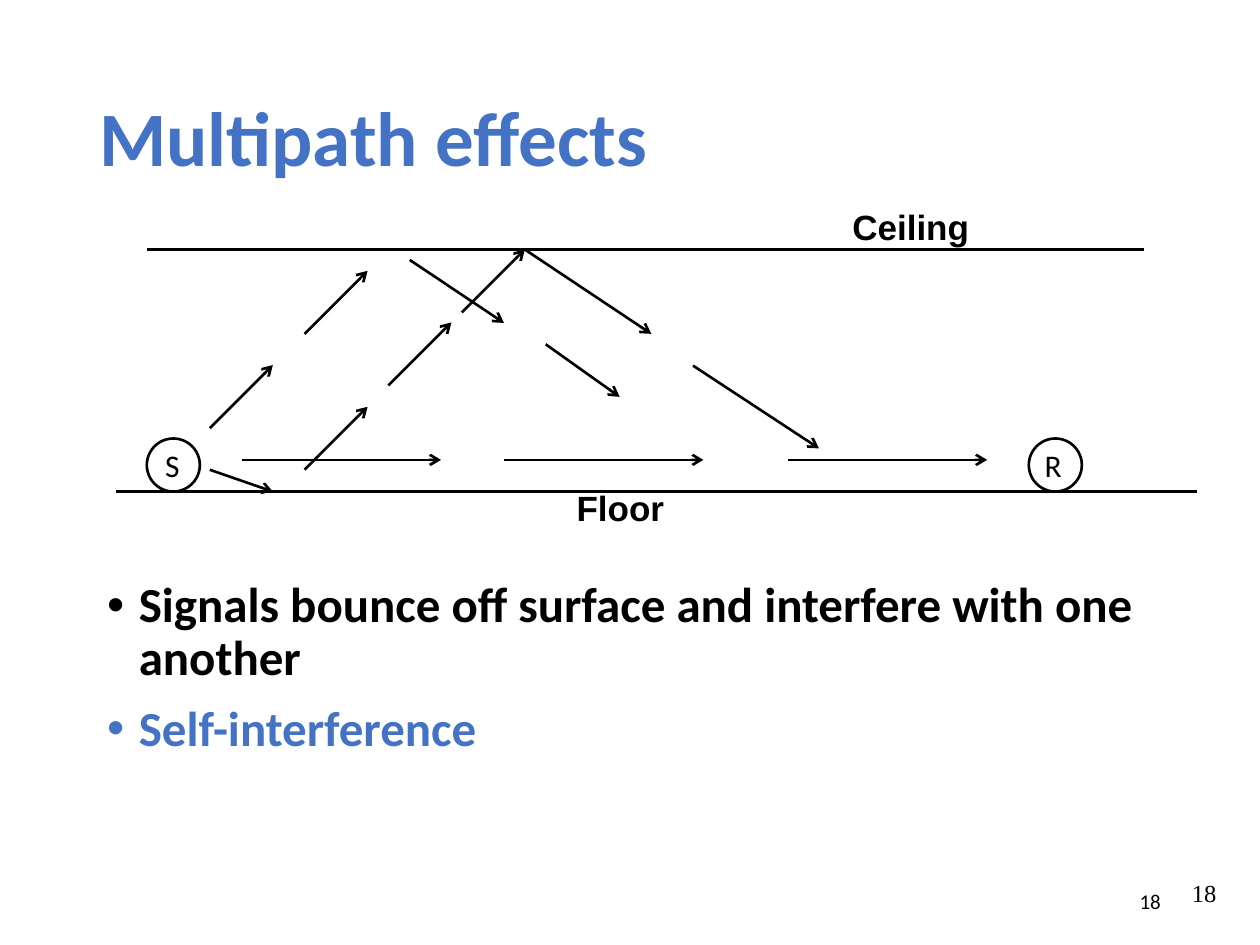
from lxml import etree
from pptx import Presentation
from pptx.dml.color import RGBColor
from pptx.enum.shapes import MSO_CONNECTOR, MSO_SHAPE
from pptx.enum.text import MSO_ANCHOR, PP_ALIGN
from pptx.oxml.ns import qn
from pptx.util import Cm, Pt

COLORS = {"ink": "000000", "accent": "4472C4"}
FLOOR_Y, CEILING_Y, DIRECT_Y = 9.91, 5.03, 9.27
NODE_SIZE = 1.07
STEP = 1.27  # rise and run of each upward arrow

TITLE = "Multipath effects"
BULLETS = [
    ("Signals bounce off surface and interfere with one another", "ink"),
    ("Self-interference", "accent"),
]
NODES = [("S", 2.96), ("R", 20.74)]
SURFACES = [(2.34, 24.13, FLOOR_Y), (2.96, 23.07, CEILING_Y)]
DIRECT_STARTS, DIRECT_LENGTH = [4.87, 10.16, 15.88], 4.02
RISING_STARTS = [(4.23, 8.63), (6.14, 6.73), (6.14, 9.47), (7.83, 7.77), (9.31, 6.3)]
FALLING = [
    (4.23, 9.47, 5.5, FLOOR_Y),
    (8.26, 5.24, 10.16, 6.51),
    (11, 6.94, 12.49, 8),
    (10.58, CEILING_Y, 13.13, 6.73),
    (13.97, 7.37, 16.51, 9.04),
]
# text, box, font, size, bold, anchor, wraps
LABELS = [
    ("Ceiling", (16.89, 4.02, 2.9, 1.11), "Arial", 20, True, MSO_ANCHOR.TOP, False),
    ("Floor", (11.35, 9.69, 2.29, 1.11), "Arial", 20, True, MSO_ANCHOR.TOP, False),
    ("18", (22.23, 17.58, 2.54, 1.07), "Times New Roman", 14, False, MSO_ANCHOR.TOP, True),
    ("18", (17.94, 17.66, 5.71, 1.01), "Calibri", 12, False, MSO_ANCHOR.MIDDLE, True),
]


def rgb(name):
    """Return the named colour."""
    return RGBColor.from_string(COLORS[name])


def write(paragraph, text, size, font="Calibri", bold=False, color="ink", align=None):
    """Add one formatted run to a paragraph."""
    run = paragraph.add_run()
    run.text = text
    run.font.name, run.font.size, run.font.bold = font, Pt(size), bold
    run.font.color.rgb = rgb(color)
    paragraph.alignment = align


def add_text_frame(slide, box, anchor=MSO_ANCHOR.TOP, wrap=True):
    """Add a text box and return its text frame."""
    frame = slide.shapes.add_textbox(*map(Cm, box)).text_frame
    frame.word_wrap, frame.vertical_anchor = wrap, anchor
    return frame


def add_line(slide, x1, y1, x2, y2, arrow=True):
    """Draw a straight line, with an open arrowhead if wanted."""
    line = slide.shapes.add_connector(MSO_CONNECTOR.STRAIGHT, *map(Cm, (x1, y1, x2, y2)))
    line.line.color.rgb, line.line.width = rgb("ink"), Pt(1.5)
    properties = line.element.spPr
    if arrow:
        etree.SubElement(properties.find(qn("a:ln")), qn("a:tailEnd"), type="arrow")
    etree.SubElement(properties, qn("a:effectLst"))


def add_node(slide, name, left):
    """Draw a sender or receiver circle standing on the floor."""
    box = (left, FLOOR_Y - NODE_SIZE, NODE_SIZE, NODE_SIZE)
    node = slide.shapes.add_shape(MSO_SHAPE.OVAL, *map(Cm, box))
    node.shadow.inherit = False
    node.fill.background()
    node.line.color.rgb, node.line.width = rgb("ink"), Pt(1.5)
    frame = node.text_frame
    frame.word_wrap, frame.vertical_anchor = False, MSO_ANCHOR.MIDDLE
    write(frame.paragraphs[0], name, 18, align=PP_ALIGN.RIGHT)


def add_bullets(slide):
    """Write the bulleted statements below the diagram."""
    frame = add_text_frame(slide, (1.91, 11.58, 22.02, 5.13))
    for i, (text, color) in enumerate(BULLETS):
        paragraph = frame.add_paragraph() if i else frame.paragraphs[0]
        paragraph.line_spacing, paragraph.space_before = 0.9, Pt(10)
        write(paragraph, text, 28, bold=True, color=color)
        properties = paragraph._p.get_or_add_pPr()
        indent = Cm(0.64)
        properties.set("marL", str(indent))
        properties.set("indent", str(-indent))
        etree.SubElement(properties, qn("a:buFont"), typeface="Arial")
        etree.SubElement(properties, qn("a:buChar"), char="•")


def build():
    """Build and save the slide."""
    deck = Presentation()
    deck.slide_width, deck.slide_height = Cm(25.4), Cm(19.05)
    slide = deck.slides.add_slide(deck.slide_layouts[6])

    title = add_text_frame(slide, (1.75, 1.02, 21.9, 3.68), MSO_ANCHOR.MIDDLE).paragraphs[0]
    title.line_spacing = 0.9
    write(title, TITLE, 44, bold=True, color="accent")
    add_bullets(slide)

    for name, left in NODES:
        add_node(slide, name, left)
    for left, right, y in SURFACES:
        add_line(slide, left, y, right, y, arrow=False)
    for x in DIRECT_STARTS:
        add_line(slide, x, DIRECT_Y, x + DIRECT_LENGTH, DIRECT_Y)
    for x, y in RISING_STARTS:
        add_line(slide, x, y, x + STEP, y - STEP)
    for path in FALLING:
        add_line(slide, *path)
    for text, box, font, size, bold, anchor, wrap in LABELS:
        frame = add_text_frame(slide, box, anchor, wrap)
        write(frame.paragraphs[0], text, size, font, bold, align=PP_ALIGN.RIGHT)

    deck.save("out.pptx")


build()
